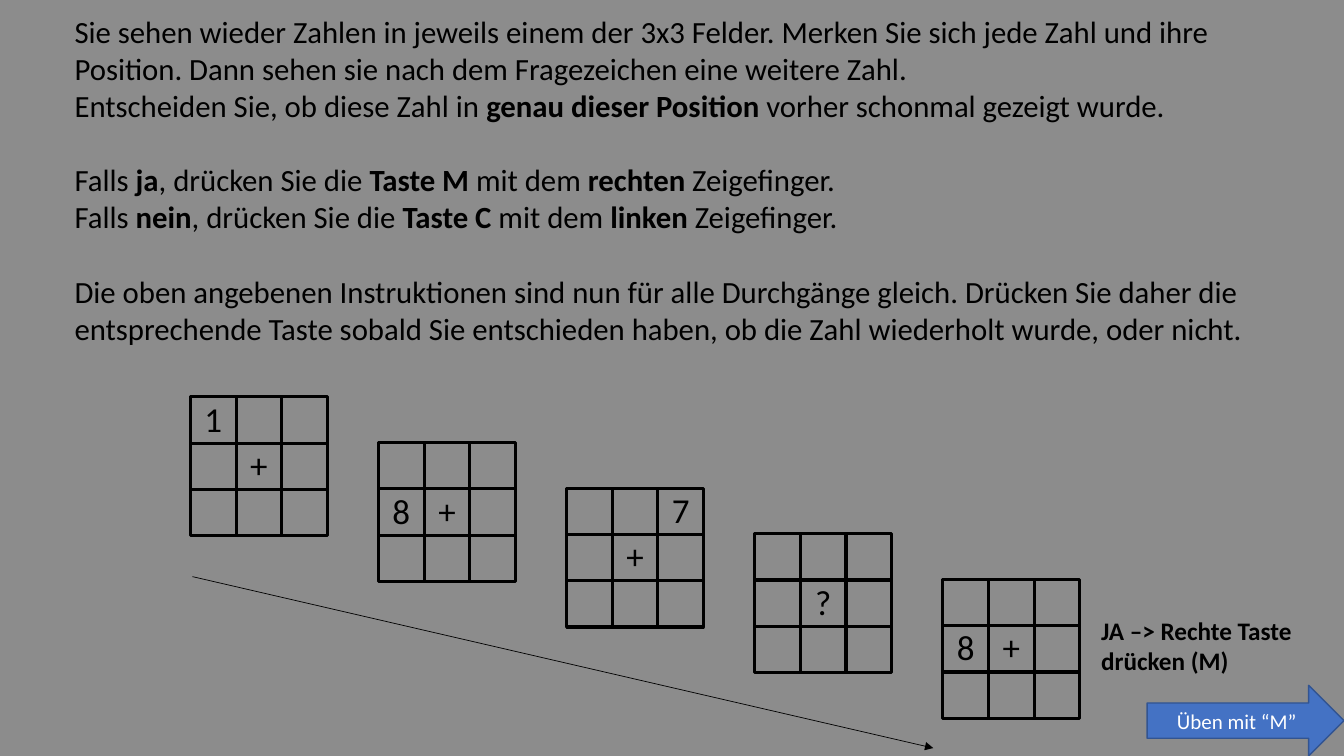
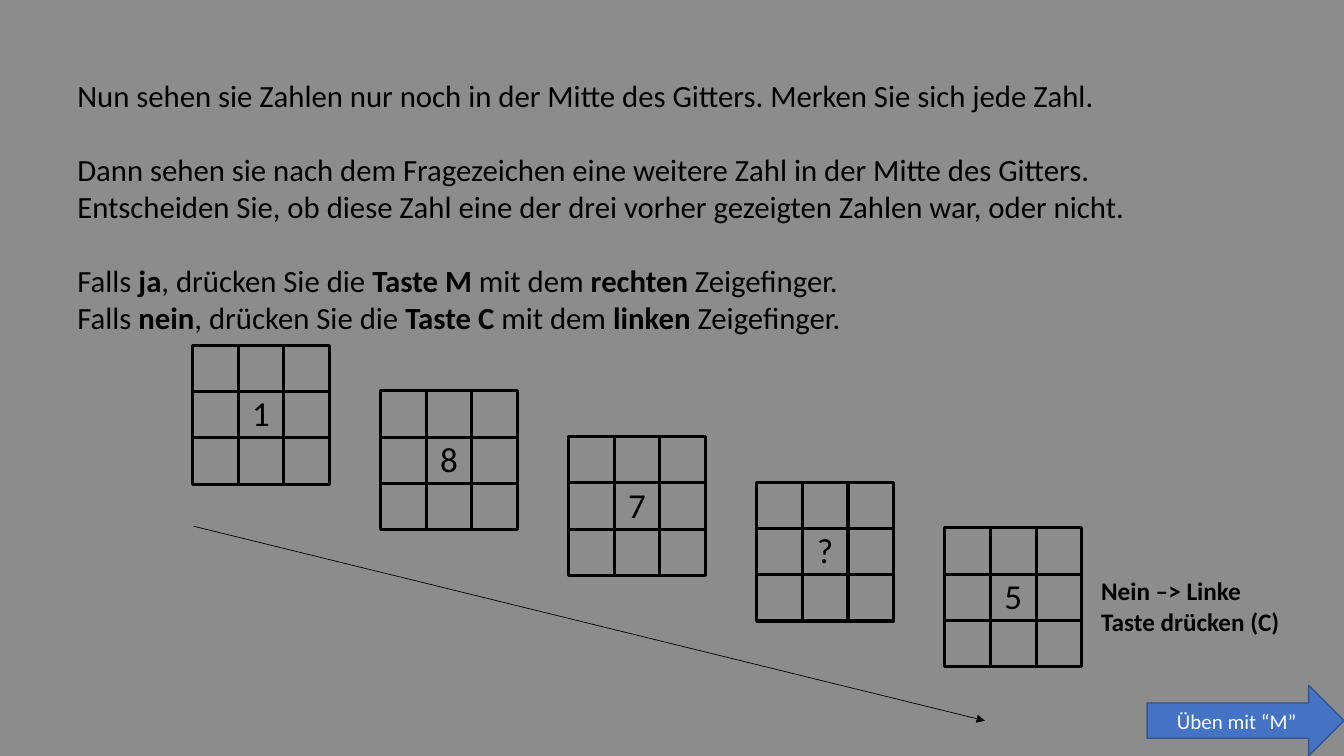
import lxml.etree
import pptx
import pptx.util
from pptx.dml.color import RGBColor
from pptx.enum.shapes import MSO_CONNECTOR, MSO_SHAPE
from pptx.enum.text import MSO_ANCHOR, PP_ALIGN
from pptx.oxml.ns import qn
from pptx.util import Cm

# Shared look
WIDTH, HEIGHT = 33.87, 19.05
FONT = "Calibri"
GREY, BLACK, WHITE = "8C8C8C", "000000", "FFFFFF"
BLUE, DARK_BLUE = "4472C4", "325491"
BODY_SIZE = 22
BLANK_LINE = 26.8

# Grid of 3x3 fields, and the step from one grid to the next
GRID_W, GRID_H = 3.45, 3.5
CELL_W, CELL_H = GRID_W / 3, GRID_H / 3
STEP_X, STEP_Y = 4.74, 1.15
SYMBOL_LIFT = 0.05

KEY_RULES = [
    "Falls *ja*, drücken Sie die *Taste M* mit dem *rechten* Zeigefinger.",
    "Falls *nein*, drücken Sie die *Taste C* mit dem *linken* Zeigefinger.",
]


def color(hex_string):
    return RGBColor.from_string(hex_string)


def format_run(r, size, hex_string=BLACK, bold=False):
    r.font.name = FONT
    r.font.size = pptx.util.Pt(size)
    r.font.bold = bold
    r.font.color.rgb = color(hex_string)


def add_label(shapes, text, x, y, w, h, size, bold=False):
    """Text box with one line of thought in one style."""
    tb = shapes.add_textbox(Cm(x), Cm(y), Cm(w), Cm(h))
    tf = tb.text_frame
    tf.word_wrap = True
    tf.text = text
    format_run(tf.paragraphs[0].runs[0], size, bold=bold)
    return tf


def add_instructions(s, blocks, x, y, h):
    """Blocks of lines, set apart by one line; *stars* mark bold words."""
    tb = s.shapes.add_textbox(Cm(x), Cm(y), Cm(29.94), Cm(h))
    tf = tb.text_frame
    tf.word_wrap = True
    p = tf.paragraphs[0]
    for b, block in enumerate(blocks):
        for n, line in enumerate(block):
            if b or n:
                p = tf.add_paragraph()
            if b and n == 0:
                p.space_before = pptx.util.Pt(BLANK_LINE)
            for i, part in enumerate(line.split("*")):
                r = p.add_run()
                r.text = part
                format_run(r, BODY_SIZE, bold=i % 2 == 1)


def add_line(shapes, x1, y1, x2, y2, width, arrow=False):
    c = shapes.add_connector(MSO_CONNECTOR.STRAIGHT, Cm(x1), Cm(y1), Cm(x2), Cm(y2))
    c.line.color.rgb = color(BLACK)
    c.line.width = pptx.util.Pt(width)
    spPr = c.element.spPr
    if arrow:
        lxml.etree.SubElement(spPr.find(qn("a:ln")), qn("a:tailEnd"), type="triangle")
    lxml.etree.SubElement(spPr, qn("a:effectLst"))


def add_grid(s, x, y, symbols):
    """3x3 grid; symbols maps (column, row) to the sign shown there."""
    shapes = s.shapes.add_group_shape().shapes
    frame = shapes.add_shape(MSO_SHAPE.RECTANGLE, Cm(x), Cm(y), Cm(GRID_W), Cm(GRID_H))
    frame.shadow.inherit = False
    frame.fill.background()
    frame.line.color.rgb = color(BLACK)
    frame.line.width = pptx.util.Pt(2.25)
    for i in (1, 2):
        column_x, row_y = x + i * CELL_W, y + i * CELL_H
        add_line(shapes, column_x, y, column_x, y + GRID_H, 2.25)
        add_line(shapes, x, row_y, x + GRID_W, row_y, 2.25)
    for (column, row), symbol in symbols.items():
        tf = add_label(shapes, symbol, x + column * CELL_W,
                       y + row * CELL_H - SYMBOL_LIFT, CELL_W, CELL_H, 25)
        tf.margin_left = tf.margin_right = tf.margin_top = tf.margin_bottom = 0
        tf.vertical_anchor = MSO_ANCHOR.MIDDLE
        tf.paragraphs[0].alignment = PP_ALIGN.CENTER


def add_grid_sequence(s, x, y, grids):
    for i, symbols in enumerate(grids):
        add_grid(s, x + i * STEP_X, y + i * STEP_Y, symbols)


def add_next_button(s):
    w, h = 4.96, 1.78
    sp = s.shapes.add_shape(MSO_SHAPE.RIGHT_ARROW, Cm(WIDTH - w), Cm(HEIGHT - h), Cm(w), Cm(h))
    sp.shadow.inherit = False
    sp.fill.solid()
    sp.fill.fore_color.rgb = color(BLUE)
    sp.line.color.rgb = color(DARK_BLUE)
    sp.line.width = pptx.util.Pt(1)
    tf = sp.text_frame
    tf.text = "Üben mit “M”"
    tf.vertical_anchor = MSO_ANCHOR.MIDDLE
    p = tf.paragraphs[0]
    p.alignment = PP_ALIGN.CENTER
    format_run(p.runs[0], 15, WHITE)


def add_answer(s, text, y):
    add_label(s.shapes, text, 27.5, y, 5.41, 1.8, 18, bold=True)


def build_position_task(s):
    add_instructions(s, [
        ["Sie sehen wieder Zahlen in jeweils einem der 3x3 Felder. Merken Sie sich jede Zahl "
         "und ihre Position. Dann sehen sie nach dem Fragezeichen eine weitere Zahl.",
         "Entscheiden Sie, ob diese Zahl in *genau dieser Position* vorher schonmal gezeigt wurde."],
        KEY_RULES,
        ["Die oben angebenen Instruktionen sind nun für alle Durchgänge gleich. Drücken Sie "
         "daher die entsprechende Taste sobald Sie entschieden haben, ob die Zahl wiederholt "
         "wurde, oder nicht."],
    ], 1.63, 0.2, 9.65)
    add_grid_sequence(s, 4.8, 10, [
        {(0, 0): "1", (1, 1): "+"},
        {(0, 1): "8", (1, 1): "+"},
        {(2, 0): "7", (1, 1): "+"},
        {(1, 1): "?"},
        {(0, 1): "8", (1, 1): "+"},
    ])
    add_line(s.shapes, 4.85, 14.53, 23.52, 18.85, 0.5, arrow=True)
    add_answer(s, "JA –> Rechte Taste drücken (M)", 15.37)


def build_centre_task(s):
    add_instructions(s, [
        ["Nun sehen sie Zahlen nur noch in der Mitte des Gitters. Merken Sie sich jede Zahl."],
        ["Dann sehen sie nach dem Fragezeichen eine weitere Zahl in der Mitte des Gitters.",
         "Entscheiden Sie, ob diese Zahl eine der drei vorher gezeigten Zahlen war, oder nicht."],
        KEY_RULES,
    ], 1.7, 1.8, 6.83)
    add_grid_sequence(s, 4.85, 8.7, [{(1, 1): symbol} for symbol in "187?5"])
    add_line(s.shapes, 4.88, 13.26, 24.82, 18.16, 0.5, arrow=True)
    add_answer(s, "Nein –> Linke Taste drücken (C)", 14.38)


def main():
    prs = pptx.Presentation()
    prs.slide_width, prs.slide_height = Cm(WIDTH), Cm(HEIGHT)
    fill = prs.slide_master.background.fill
    fill.solid()
    fill.fore_color.rgb = color(GREY)
    blank = prs.slide_layouts[6]
    for build in (build_position_task, build_centre_task):
        s = prs.slides.add_slide(blank)
        build(s)
        add_next_button(s)
    prs.save("out.pptx")


if __name__ == "__main__":
    main()
